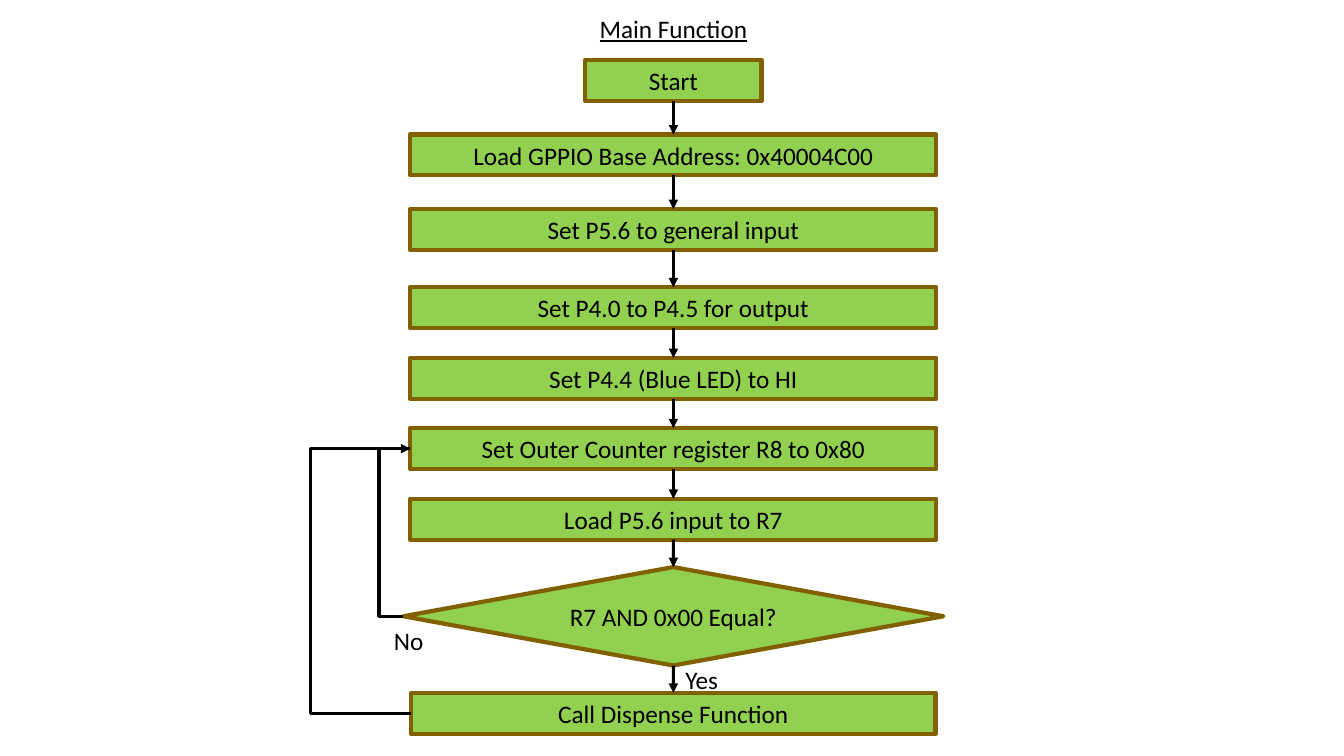
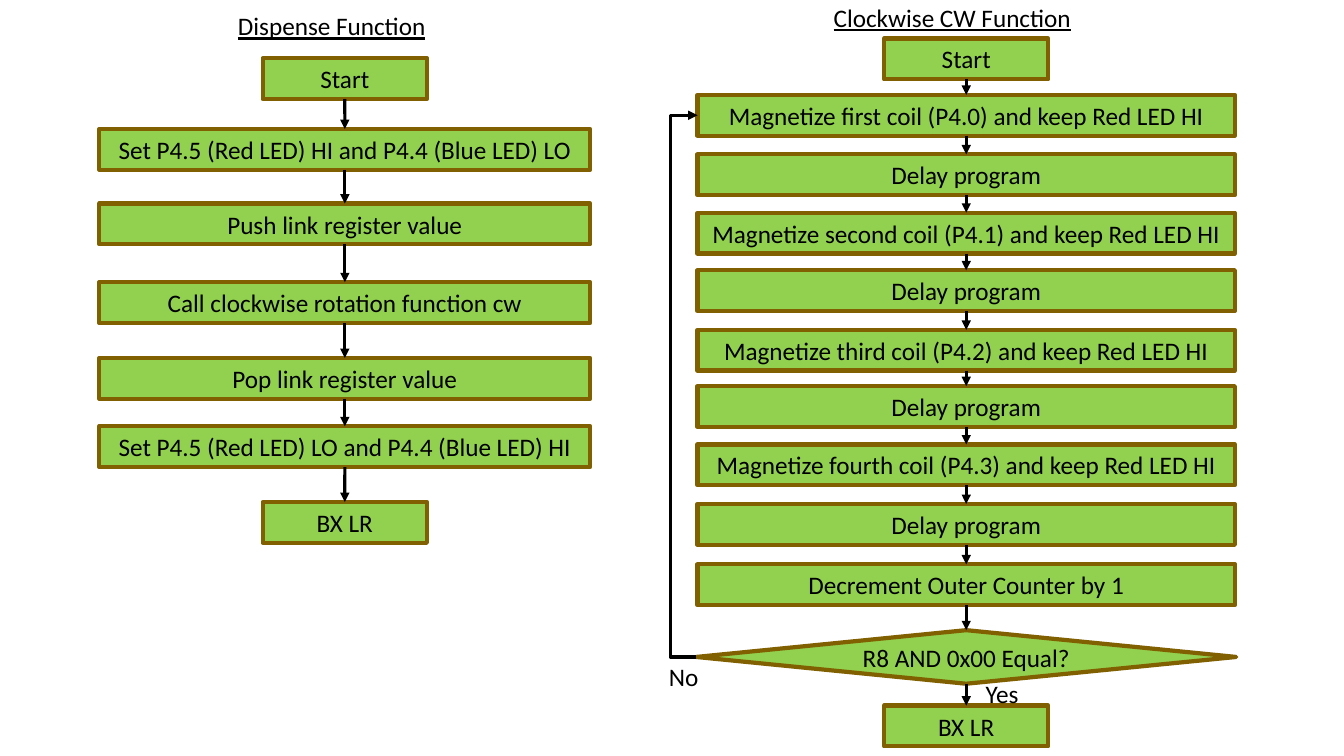
from itertools import pairwise

from lxml.etree import SubElement
from pptx import Presentation
from pptx.dml.color import RGBColor
from pptx.enum.shapes import MSO_CONNECTOR as Link, MSO_SHAPE as Preset
from pptx.enum.text import MSO_ANCHOR as Anchor, MSO_AUTO_SIZE as AutoSize, PP_ALIGN as Align
from pptx.oxml.ns import qn
from pptx.util import Cm, Pt

GREEN, BROWN, BLACK = "92D050", "806000", "000000"
FONT = "Calibri"
ROW_HEIGHT = 1.03
LABEL_WIDTH = 2.54
TOP, LEFT, BOTTOM = 0, 1, 2
color = RGBColor.from_string


def write(holder, text, align, underline=False):
    frame = holder.text_frame
    frame.text = text
    frame.word_wrap = True
    frame.auto_size = AutoSize.NONE
    frame.vertical_anchor = Anchor.MIDDLE
    line = frame.paragraphs[0]
    line.alignment = align
    font = line.runs[0].font
    font.name, font.size = FONT, Pt(18)
    font.underline = underline
    font.color.rgb = color(BLACK)


def link(shapes, kind, source, source_side, target, target_side, arrow=True):
    connector = shapes.add_connector(kind, 0, 0, 0, 0)
    connector.begin_connect(source, source_side)
    connector.end_connect(target, target_side)
    connector.line.width = Pt(2.25)
    connector.line.color.rgb = color(BLACK)
    properties = connector._element.spPr
    if arrow:
        SubElement(properties.find(qn("a:ln")), qn("a:tailEnd"), type="triangle")
    SubElement(properties, qn("a:effectLst"))
    return connector


main_chart = {
    "heading": ("Main Function", 16.97, 0.2, 4.45),
    "center": 16.97,
    "diamond_height": 2.48,
    "steps": [
        ("Start", 1.52, 4.45),
        ("Load GPPIO Base Address: 0x40004C00", 3.39, 13.26),
        ("Set P5.6 to general input", 5.27, 13.26),
        ("Set P4.0 to P4.5 for output", 7.24, 13.26),
        ("Set P4.4 (Blue LED) to HI", 9.02, 13.26),
        ("Set Outer Counter register R8 to 0x80", 10.79, 13.26),
        ("Load P5.6 input to R7", 12.57, 13.26),
        ("R7 AND 0x00 Equal?", 14.29, 13.61),
        ("Call Dispense Function", 17.46, 13.22),
    ],
    "loops": [(7, 5, 9.55, True), (8, 5, 7.82, False)],
    "labels": [("No", 9.68, 15.62), ("Yes", 17.02, 16.61)],
}
dispense_chart = {
    "heading": ("Dispense Function", 8.36, 0.13, 5.28),
    "center": 8.69,
    "diamond_height": 0,
    "steps": [
        ("Start", 1.47, 4.14),
        ("Set P4.5 (Red LED) HI and P4.4 (Blue LED) LO", 3.25, 12.37),
        ("Push link register value", 5.13, 12.37),
        ("Call clockwise rotation function cw", 7.11, 12.37),
        ("Pop link register value", 9.02, 12.37),
        ("Set P4.5 (Red LED) LO and P4.4 (Blue LED) HI", 10.74, 12.37),
        ("BX LR", 12.65, 4.14),
    ],
    "loops": [],
    "labels": [],
}
clockwise_chart = {
    "heading": ("Clockwise CW Function", 24, -0.08, 7.32),
    "center": 24.35,
    "diamond_height": 1.35,
    "steps": [
        ("Start", 0.97, 4.14),
        ("Magnetize first coil (P4.0) and keep Red LED HI", 2.39, 13.54),
        ("Delay program", 3.89, 13.54),
        ("Magnetize second coil (P4.1) and keep Red LED HI", 5.36, 13.54),
        ("Delay program", 6.81, 13.54),
        ("Magnetize third coil (P4.2) and keep Red LED HI", 8.31, 13.54),
        ("Delay program", 9.73, 13.54),
        ("Magnetize fourth coil (P4.3) and keep Red LED HI", 11.2, 13.54),
        ("Delay program", 12.7, 13.54),
        ("Decrement Outer Counter by 1", 14.22, 13.54),
        ("R8 AND 0x00 Equal?", 15.88, 13.61),
        ("BX LR", 17.78, 4.14),
    ],
    "loops": [(10, 1, 16.89, True)],
    "labels": [("No", 16.61, 16.54), ("Yes", 24.59, 16.97)],
}

deck = Presentation()
deck.slide_width, deck.slide_height = Cm(33.87), Cm(19.05)

for charts in ([main_chart], [dispense_chart, clockwise_chart]):
    slide = deck.slides.add_slide(deck.slide_layouts[5])
    shapes = slide.shapes
    for position, chart in enumerate(charts):
        text, middle, top, width = chart["heading"]
        heading = shapes.title if position == 0 else shapes.add_textbox(0, 0, 0, 0)
        heading.left, heading.top = Cm(middle - width / 2), Cm(top)
        heading.width, heading.height = Cm(width), Cm(ROW_HEIGHT)
        write(heading, text, Align.CENTER, underline=True)

        steps = []
        for text, top, width in chart["steps"]:
            decision = text.endswith("?")
            step = shapes.add_shape(
                Preset.DIAMOND if decision else Preset.RECTANGLE,
                Cm(chart["center"] - width / 2), Cm(top), Cm(width),
                Cm(chart["diamond_height"] if decision else ROW_HEIGHT))
            step.shadow.inherit = False
            step.fill.solid()
            step.fill.fore_color.rgb = color(GREEN)
            step.line.color.rgb = color(BROWN)
            step.line.width = Pt(3)
            write(step, text, Align.CENTER)
            steps.append(step)

        for upper, lower in pairwise(steps):
            link(shapes, Link.STRAIGHT, upper, BOTTOM, lower, TOP)

        for source, target, lane, arrow in chart["loops"]:
            loop = link(shapes, Link.ELBOW, steps[source], LEFT, steps[target], LEFT, arrow)
            start, end = loop.begin_x, loop.end_x
            bend = round((Cm(lane) - start) / (end - start) * 100000)
            properties = loop._element.spPr
            guides = properties.find(qn("a:prstGeom")).get_or_add_avLst()
            SubElement(guides, qn("a:gd"), name="adj1", fmla=f"val {bend}")
            turn = properties.find(qn("a:xfrm"))
            turn.set("rot", "10800000")
            turn.set("flipH", "1" if start < end else "0")
            turn.set("flipV", "0")

        for text, left, top in chart["labels"]:
            label = shapes.add_textbox(Cm(left), Cm(top), Cm(LABEL_WIDTH), Cm(ROW_HEIGHT))
            write(label, text, Align.LEFT)

deck.save("out.pptx")
